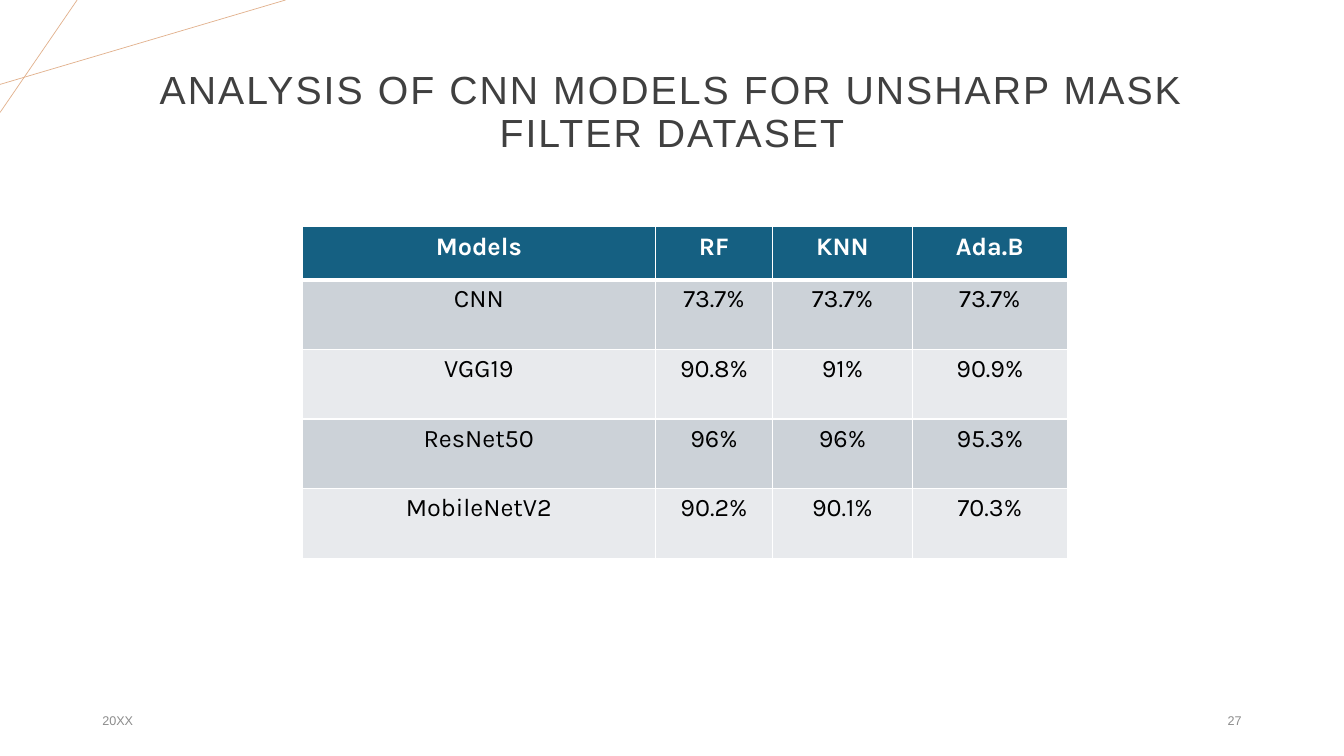
import pptx
import pptx.dml.color
import pptx.enum.shapes
import pptx.enum.text
import pptx.oxml
import pptx.oxml.ns
import pptx.util

WIDTH = pptx.util.Inches(13.333)
HEIGHT = pptx.util.Inches(7.5)
COLUMN = WIDTH / 160
ROW = HEIGHT / 90

ALIGN = pptx.enum.text.PP_ALIGN
ANCHOR = pptx.enum.text.MSO_ANCHOR

RESULTS = [
    ["Models", "RF", "KNN", "Ada.B"],
    ["CNN", "73.7%", "73.7%", "73.7%"],
    ["VGG19", "90.8%", "91%", "90.9%"],
    ["ResNet50", "96%", "96%", "95.3%"],
    ["MobileNetV2", "90.2%", "90.1%", "70.3%"],
]
MODEL_COLUMNS = [42, 14, 16.6, 18.5]
HEADER_ROWS, BODY_ROWS = 6.3, 8.3


def columns(count):
    return round(count * COLUMN)


def rows(count):
    return round(count * ROW)


def place(left, top, width, height):
    return columns(left), rows(top), columns(width), rows(height)


def color(value):
    return pptx.dml.color.RGBColor.from_string(value)


def write(frame, text, size, fill, font="Arial", bold=False, align=ALIGN.LEFT,
          line_spacing=None, letter_spacing=None):
    paragraph = frame.paragraphs[0]
    paragraph.alignment = align
    if line_spacing:
        paragraph.line_spacing = line_spacing
    run = paragraph.add_run()
    run.text = text
    run.font.name = font
    run.font.size = pptx.util.Pt(size)
    run.font.bold = bold
    run.font.color.rgb = color(fill)
    if letter_spacing:
        run.font._element.set("spc", str(round(letter_spacing * 100)))


def add_text(slide, box, text, **style):
    shape = slide.shapes.add_textbox(*place(*box))
    shape.text_frame.word_wrap = True
    shape.text_frame.vertical_anchor = ANCHOR.MIDDLE
    write(shape.text_frame, text, **style)


def add_corner_lines(slide, box):
    left, top, width, height = box
    ends = [((0, 0.75), (1, 0)), ((0.27, 0), (0, 1))]
    for start, end in ends:
        points = [(columns(left + x * width), rows(top + y * height)) for x, y in (start, end)]
        line = slide.shapes.add_connector(
            pptx.enum.shapes.MSO_CONNECTOR.STRAIGHT, *points[0], *points[1])
        line.line.color.rgb = color("E2B18D")
        line.line.width = pptx.util.Pt(0.5)
        properties = line._element.spPr
        properties.append(properties.makeelement(pptx.oxml.ns.qn("a:effectLst"), {}))


def set_borders(cell, **widths):
    properties = cell._tc.get_or_add_tcPr()
    for side in "LRTB":
        width = pptx.util.Pt(widths.get(side, 1))
        properties.append(pptx.oxml.parse_xml(
            f'<a:ln{side} {pptx.oxml.ns.nsdecls("a")} w="{width}">'
            f'<a:solidFill><a:srgbClr val="FFFFFF"/></a:solidFill></a:ln{side}>'))


def add_results_table(slide, box):
    table = slide.shapes.add_table(len(RESULTS), len(MODEL_COLUMNS), *place(*box)).table
    for column, count in zip(table.columns, MODEL_COLUMNS):
        column.width = columns(count)
    for index, values in enumerate(RESULTS):
        header = index == 0
        table.rows[index].height = rows(HEADER_ROWS if header else BODY_ROWS)
        band = "156082" if header else ("CCD2D8" if index % 2 else "E8EAED")
        for position, value in enumerate(values):
            cell = table.cell(index, position)
            set_borders(cell, T=3 if index == 1 else 1, B=3 if header else 1)
            cell.fill.solid()
            cell.fill.fore_color.rgb = color(band)
            write(cell.text_frame, value, size=18, font="Karla", bold=header,
                  fill="FFFFFF" if header else "000000", align=ALIGN.CENTER)


def add_footer(slide, box):
    left, top, width, height = box
    part = 36
    style = {"size": 9, "fill": "8C8C8C"}
    add_text(slide, (left, top, part, height), "20XX", **style)
    add_text(slide, (left + width - part, top, part, height), "27", align=ALIGN.RIGHT, **style)


def build_results_slide(presentation):
    slide = presentation.slides.add_slide(presentation.slide_layouts[6])
    add_corner_lines(slide, (0, 0, 34, 13.4))
    add_text(slide, (11, 4.8, 138, 17.4),
             "ANALYSIS OF CNN MODELS FOR UNSHARP MASK FILTER DATASET",
             size=28, fill="404040", align=ALIGN.CENTER, line_spacing=0.9, letter_spacing=1.5)
    add_footer(slide, (11, 83.4, 138, 4.8))
    add_results_table(
        slide, (36, 27, sum(MODEL_COLUMNS), HEADER_ROWS + BODY_ROWS * (len(RESULTS) - 1)))


def main():
    presentation = pptx.Presentation()
    presentation.slide_width = WIDTH
    presentation.slide_height = HEIGHT
    build_results_slide(presentation)
    presentation.save("out.pptx")


if __name__ == "__main__":
    main()
